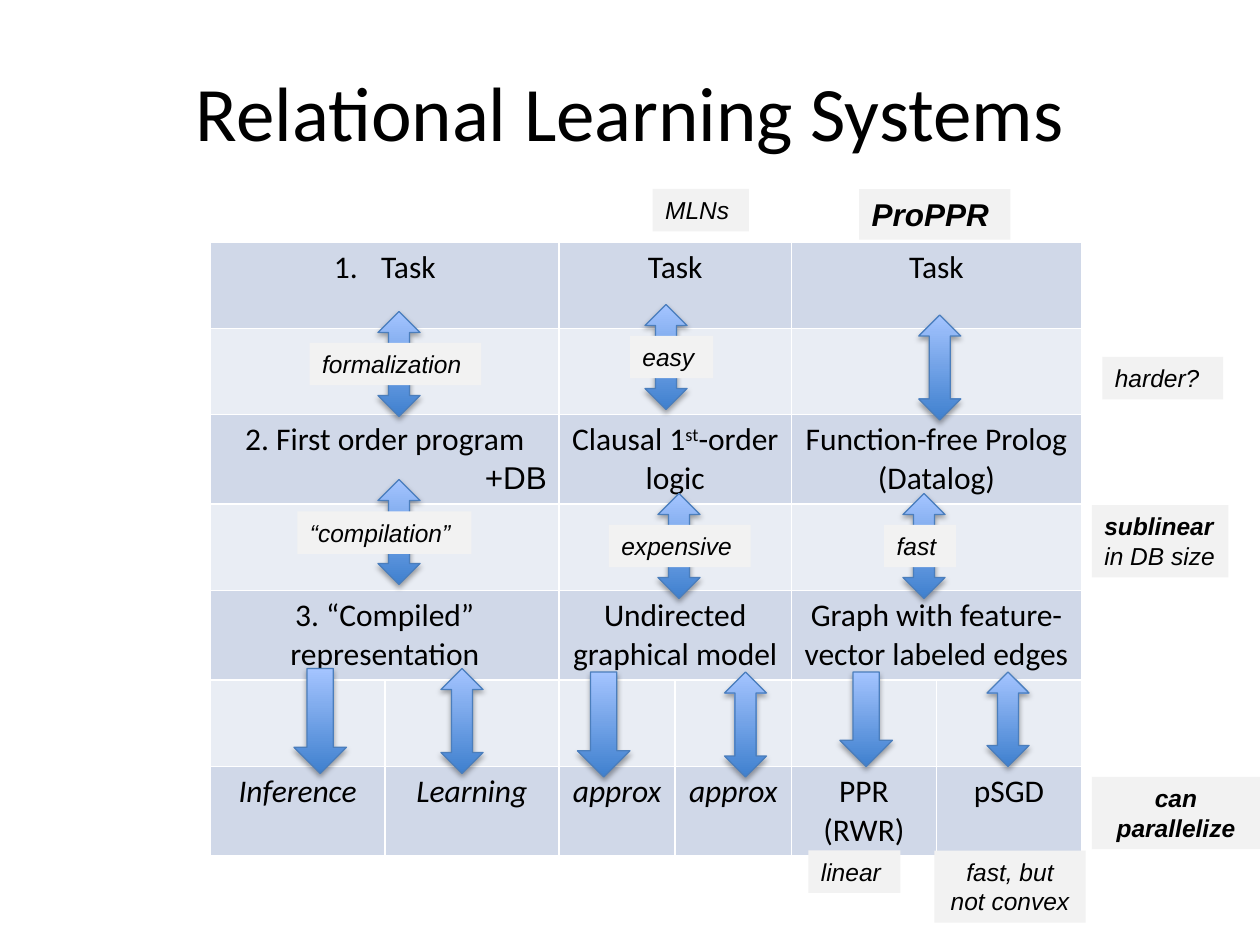
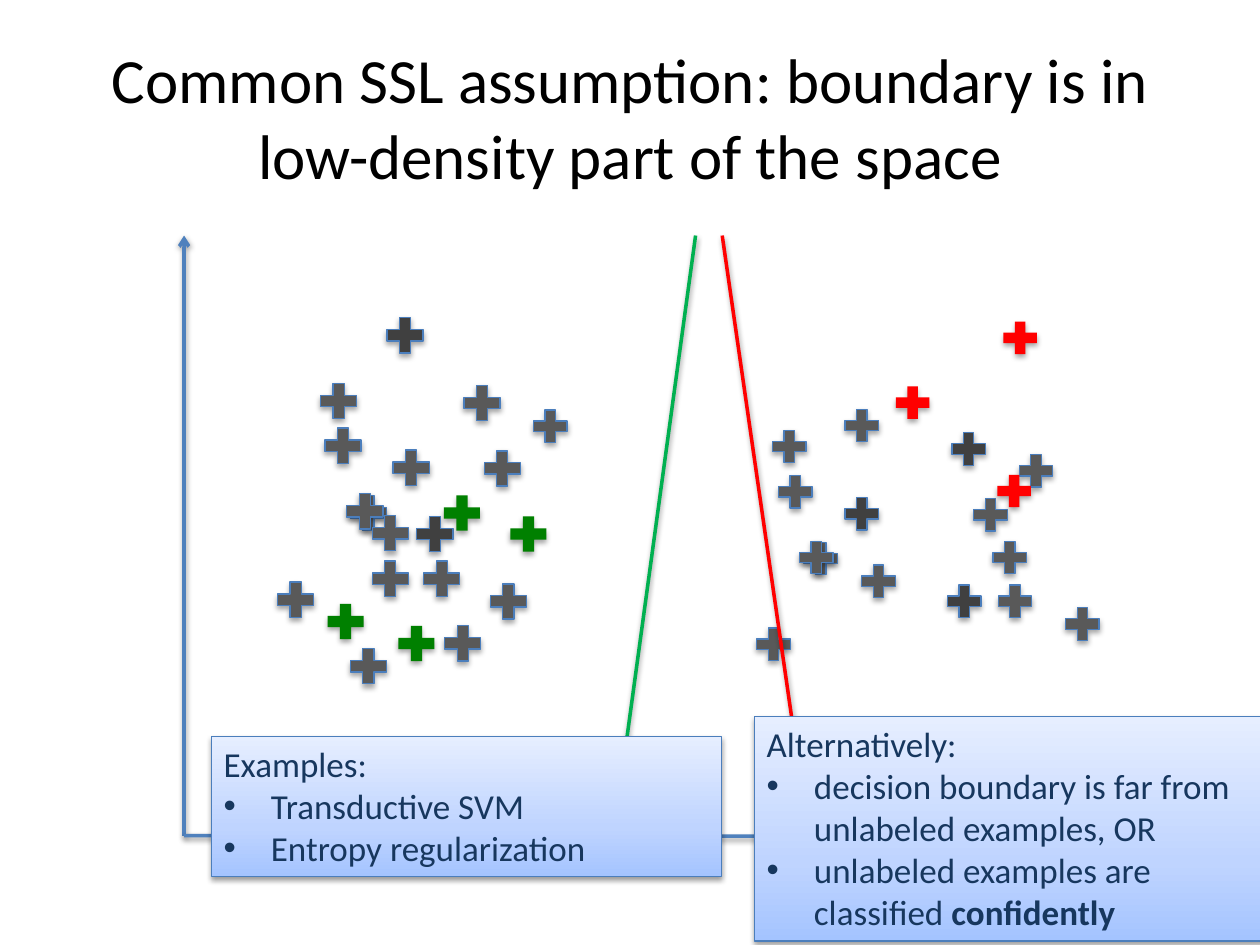
"""Builds two slides on relational learning systems and semi-supervised learning."""
import copy

import lxml.etree
import pptx
import pptx.dml.color
import pptx.enum.shapes
import pptx.enum.text
import pptx.oxml.ns
import pptx.util

Pt = pptx.util.Pt
RGBColor = pptx.dml.color.RGBColor
SHAPE = pptx.enum.shapes.MSO_SHAPE
ALIGN = pptx.enum.text.PP_ALIGN
ANCHOR = pptx.enum.text.MSO_ANCHOR
qn = pptx.oxml.ns.qn
SubElement = lxml.etree.SubElement

BLACK = RGBColor(0x00, 0x00, 0x00)
BAND_DARK = RGBColor(0xD0, 0xD8, 0xE8)
BAND_LIGHT = RGBColor(0xE9, 0xED, 0xF4)
LABEL_GREY = RGBColor(0xF2, 0xF2, 0xF2)
OUTLINE_BLUE = RGBColor(0x4B, 0x7E, 0xBC)
AXIS_BLUE = RGBColor(0x4F, 0x81, 0xBD)
DEEP_BLUE = RGBColor(0x3F, 0x80, 0xCE)
SKY_BLUE = RGBColor(0xA4, 0xC4, 0xFF)
PALE_BLUE = RGBColor(0xBF, 0xD4, 0xFF)
ICE_BLUE = RGBColor(0xE6, 0xEE, 0xFF)
NAVY = RGBColor(0x17, 0x37, 0x5E)
POINT_GREY = RGBColor(0x59, 0x59, 0x59)
POINT_DARK = RGBColor(0x40, 0x40, 0x40)
POINT_GREEN = RGBColor(0x00, 0x80, 0x00)
LINE_GREEN = RGBColor(0x00, 0xB0, 0x50)
RED = RGBColor(0xFF, 0x00, 0x00)


def cast_shadow(item, opacity, distance):
    """Give a shape or connector a soft shadow below it."""
    effects = SubElement(item._element.spPr, qn("a:effectLst"))
    shadow = SubElement(effects, qn("a:outerShdw"), blurRad=str(Pt(3.1)),
                        dist=str(Pt(distance)), dir="5400000", rotWithShape="0")
    color = SubElement(shadow, qn("a:srgbClr"), val="000000")
    SubElement(color, qn("a:alpha"), val=str(opacity * 1000))


def shade(shape, stops):
    """Fill a shape with a gradient from bottom to top and outline it."""
    shape.fill.gradient()
    shape.fill.gradient_angle = 90
    stop_list = shape._element.spPr.find(".//" + qn("a:gsLst"))
    while len(stop_list) < len(stops):
        stop_list.append(copy.deepcopy(stop_list[0]))
    for stop, (position, color) in zip(shape.fill.gradient_stops, stops):
        stop.position = position
        stop.color.rgb = color
    shape.line.color.rgb = OUTLINE_BLUE
    shape.line.width = Pt(0.75)


deck = pptx.Presentation()
deck.slide_width, deck.slide_height = Pt(720), Pt(540)

pages = []
for title, top, size in [
    ("Relational Learning Systems", 18, 44),
    ("Common SSL assumption: boundary is in low-density part of the space", 21.6, 36),
]:
    page = deck.slides.add_slide(deck.slide_layouts[5])
    heading = page.shapes.title
    heading.left, heading.top, heading.width, heading.height = Pt(36), Pt(top), Pt(648), Pt(90)
    heading.text_frame.text = title
    heading.text_frame.vertical_anchor = ANCHOR.MIDDLE
    para = heading.text_frame.paragraphs[0]
    para.alignment = ALIGN.CENTER
    font = para.runs[0].font
    font.name, font.size, font.color.rgb = "Calibri", Pt(size), BLACK
    pages.append(page)
systems_page, boundary_page = pages

column_widths = [99.6, 99.6, 66.4, 66.4, 82.9, 82.9]
row_heights = [49.4, 49.4, 50.4, 49.4, 50.4, 49.4, 50.4]
stages = {
    0: ["Task", "Task", "Task"],
    2: ["2. First order program", "Clausal 1|st|-order logic", "Function-free Prolog (Datalog)"],
    4: ["3. “Compiled” representation", "Undirected graphical model",
        "Graph with feature-vector labeled edges"],
    6: ["Inference", "Learning", "approx", "approx", "PPR (RWR)", "pSGD"],
}
frame = systems_page.shapes.add_table(7, 6, Pt(120.3), Pt(138.2),
                                      Pt(sum(column_widths)), Pt(sum(row_heights)))
table = frame.table
table.first_row = table.horz_banding = False
for column, width in zip(table.columns, column_widths):
    column.width = Pt(width)
for row_index, height in enumerate(row_heights):
    table.rows[row_index].height = Pt(height)
    for cell in table.rows[row_index].cells:
        properties = cell._tc.get_or_add_tcPr()
        for side in ("a:lnL", "a:lnR", "a:lnT", "a:lnB"):
            border = SubElement(properties, qn(side), w=str(Pt(1)))
            SubElement(SubElement(border, qn("a:solidFill")), qn("a:srgbClr"), val="FFFFFF")
        cell.fill.solid()
        cell.fill.fore_color.rgb = BAND_LIGHT if row_index % 2 else BAND_DARK
    if row_index < 5:
        for column_index in (0, 2, 4):
            table.cell(row_index, column_index).merge(table.cell(row_index, column_index + 1))
    texts = stages.get(row_index, [])
    for index, text in enumerate(texts):
        cell = table.cell(row_index, index * 6 // len(texts))
        para = cell.text_frame.paragraphs[0]
        para.alignment = ALIGN.CENTER
        for span_index, piece in enumerate(text.split("|")):
            span = para.add_run()
            span.text = piece
            font = span.font
            font.name, font.size, font.color.rgb = "Calibri", Pt(18), BLACK
            font.bold = False
            font.italic = row_index == 6 and index < 4
            if span_index == 1:
                font._element.set("baseline", "30000")

numbering = table.cell(0, 0).text_frame.paragraphs[0]._p.get_or_add_pPr()
numbering.set("marL", str(Pt(27)))
numbering.set("indent", str(Pt(-27)))
SubElement(numbering, qn("a:buFont"), typeface="+mj-lt")
SubElement(numbering, qn("a:buAutoNum"), type="arabicPeriod")

for kind, width, height, places in [
    (SHAPE.UP_DOWN_ARROW, 24, 60, [(216, 178), (216, 274), (252, 382), (414, 384), (368.6, 174),
                                   (376, 282), (516, 282), (525, 180)]),
    (SHAPE.UP_DOWN_ARROW, 24, 54, [(564, 384)]),
    (SHAPE.DOWN_ARROW, 30, 60, [(168, 382), (330, 384)]),
    (SHAPE.DOWN_ARROW, 30, 54, [(480, 384)]),
]:
    for left, top in places:
        arrow = systems_page.shapes.add_shape(kind, Pt(left), Pt(top), Pt(width), Pt(height))
        shade(arrow, [(0, DEEP_BLUE), (1, SKY_BLUE)])
        cast_shadow(arrow, 35, 1.8)

for text, left, top, width, height, size, bold_spans, alignment in [
    ("“compilation”", 170, 292.3, 99.4, 24.2, 14, 0, ALIGN.LEFT),
    ("formalization", 177, 196, 98, 24.2, 14, 0, ALIGN.LEFT),
    ("MLNs", 373, 108, 55, 24.2, 14, 0, ALIGN.LEFT),
    ("easy", 360, 192, 47.6, 24.2, 14, 0, ALIGN.LEFT),
    ("expensive", 348, 300, 81, 24.2, 14, 0, ALIGN.LEFT),
    ("fast", 505.3, 300, 41, 24.2, 14, 0, ALIGN.LEFT),
    ("harder?", 630, 204, 69, 24.2, 14, 0, ALIGN.LEFT),
    ("linear", 462, 486, 52.5, 24.2, 14, 0, ALIGN.LEFT),
    ("fast, but\nnot convex", 534, 486, 86.4, 41.2, 14, 0, ALIGN.CENTER),
    ("sublinear| in DB size", 624, 288.7, 78, 41.2, 14, 1, ALIGN.LEFT),
    ("ProPPR", 491, 108, 86.4, 29, 18, 1, ALIGN.LEFT),
    ("can parallelize", 624, 444, 96, 41.2, 14, 1, ALIGN.CENTER),
]:
    label = systems_page.shapes.add_shape(SHAPE.RECTANGLE, Pt(left), Pt(top), Pt(width), Pt(height))
    label.shadow.inherit = False
    label.fill.solid()
    label.fill.fore_color.rgb = LABEL_GREY
    label.line.fill.background()
    label.text_frame.word_wrap = True
    label.text_frame.vertical_anchor = ANCHOR.TOP
    label.text_frame.text = text.replace("|", "\n") if "|" not in text else ""
    if "|" in text:
        for piece in text.split("|"):
            label.text_frame.paragraphs[0].add_run().text = piece
    for para in label.text_frame.paragraphs:
        para.alignment = alignment
        for span_index, span in enumerate(para.runs):
            font = span.font
            font.name, font.size, font.color.rgb = "Arial", Pt(size), BLACK
            font.italic, font.bold = True, span_index < bold_spans

database = systems_page.shapes.add_textbox(Pt(270), Pt(258), Pt(50.4), Pt(29))
database.text_frame.word_wrap = False
database.text_frame.text = "+DB"
font = database.text_frame.paragraphs[0].runs[0].font
font.name, font.size, font.color.rgb = "Arial", Pt(18), BLACK

for outlined, color, width, height, places in [
    (True, POINT_DARK, 26, 25.2, [(538, 331), (540.5, 244), (479.5, 281)]),
    (True, POINT_GREY, 26, 25.2, [
        (567, 331), (605.5, 344), (489, 319.5), (456, 306.5), (564, 306), (429, 355.5),
        (579, 256.5), (553, 281.5), (441.5, 268.5), (453.5, 306), (438, 242.5),
        (479.5, 230.5), (301.5, 231)]),
    (True, POINT_DARK, 28, 27.4, [(234.5, 291.5), (217.5, 178)]),
    (True, POINT_GREY, 28, 27.4, [
        (238.5, 317), (276.5, 330), (250.5, 354), (196.5, 367), (196.5, 279.5), (209, 317),
        (155, 329), (261.5, 216.5), (273, 254), (182, 241), (221, 253.5), (194.5, 278.5),
        (179.5, 215.5), (209, 291)]),
    (False, POINT_GREEN, 28, 27.4, [(224, 354), (250, 279.5), (288, 291.5), (183.5, 341.5)]),
    (False, RED, 26, 25.2, [(566.5, 268), (570, 180.5), (508.5, 217.5)]),
]:
    for left, top in places:
        point = boundary_page.shapes.add_shape(SHAPE.MATH_PLUS, Pt(left), Pt(top),
                                               Pt(width), Pt(height))
        point.fill.solid()
        point.fill.fore_color.rgb = color
        if outlined:
            point.line.color.rgb = OUTLINE_BLUE
            point.line.width = Pt(0.75)
        else:
            point.line.fill.background()
        cast_shadow(point, 35, 1.8)

for start_x, start_y, end_x, end_y, color, is_axis in [
    (105.2, 477.5, 105.2, 134.6, AXIS_BLUE, True),
    (105.2, 477.5, 605.5, 478, AXIS_BLUE, True),
    (397.5, 134.6, 350.6, 477.5, LINE_GREEN, False),
    (412.7, 134.6, 462.2, 478, RED, False),
]:
    line = boundary_page.shapes.add_connector(pptx.enum.shapes.MSO_CONNECTOR.STRAIGHT,
                                              Pt(start_x), Pt(start_y), Pt(end_x), Pt(end_y))
    line.line.color.rgb = color
    line.line.width = Pt(2)
    if is_axis:
        SubElement(line.line._get_or_add_ln(), qn("a:tailEnd"), type="arrow")
    cast_shadow(line, 38, 1.6)

for left, top, height, lines in [
    (431, 409.5, 128.2, ["Alternatively:", "decision boundary is far from unlabeled examples, OR",
                         "unlabeled examples are classified |confidently"]),
    (120.7, 421, 80, ["Examples:", "Transductive SVM", "Entropy regularization"]),
]:
    box = boundary_page.shapes.add_shape(SHAPE.RECTANGLE, Pt(left), Pt(top), Pt(291.6), Pt(height))
    shade(box, [(0, SKY_BLUE), (0.35, PALE_BLUE), (1, ICE_BLUE)])
    cast_shadow(box, 38, 1.6)
    box.text_frame.word_wrap = True
    box.text_frame.vertical_anchor = ANCHOR.TOP
    for line_index, text in enumerate(lines):
        para = box.text_frame.add_paragraph() if line_index else box.text_frame.paragraphs[0]
        para.alignment = ALIGN.LEFT
        if line_index:
            bullet = para._p.get_or_add_pPr()
            bullet.set("marL", str(Pt(27)))
            bullet.set("indent", str(Pt(-27)))
            SubElement(bullet, qn("a:buFont"), typeface="Arial")
            SubElement(bullet, qn("a:buChar"), char="•")
        for span_index, piece in enumerate(text.split("|")):
            span = para.add_run()
            span.text = piece
            font = span.font
            font.name, font.size, font.color.rgb = "Calibri", Pt(20), NAVY
            font.bold = span_index == 1

deck.save("out.pptx")
